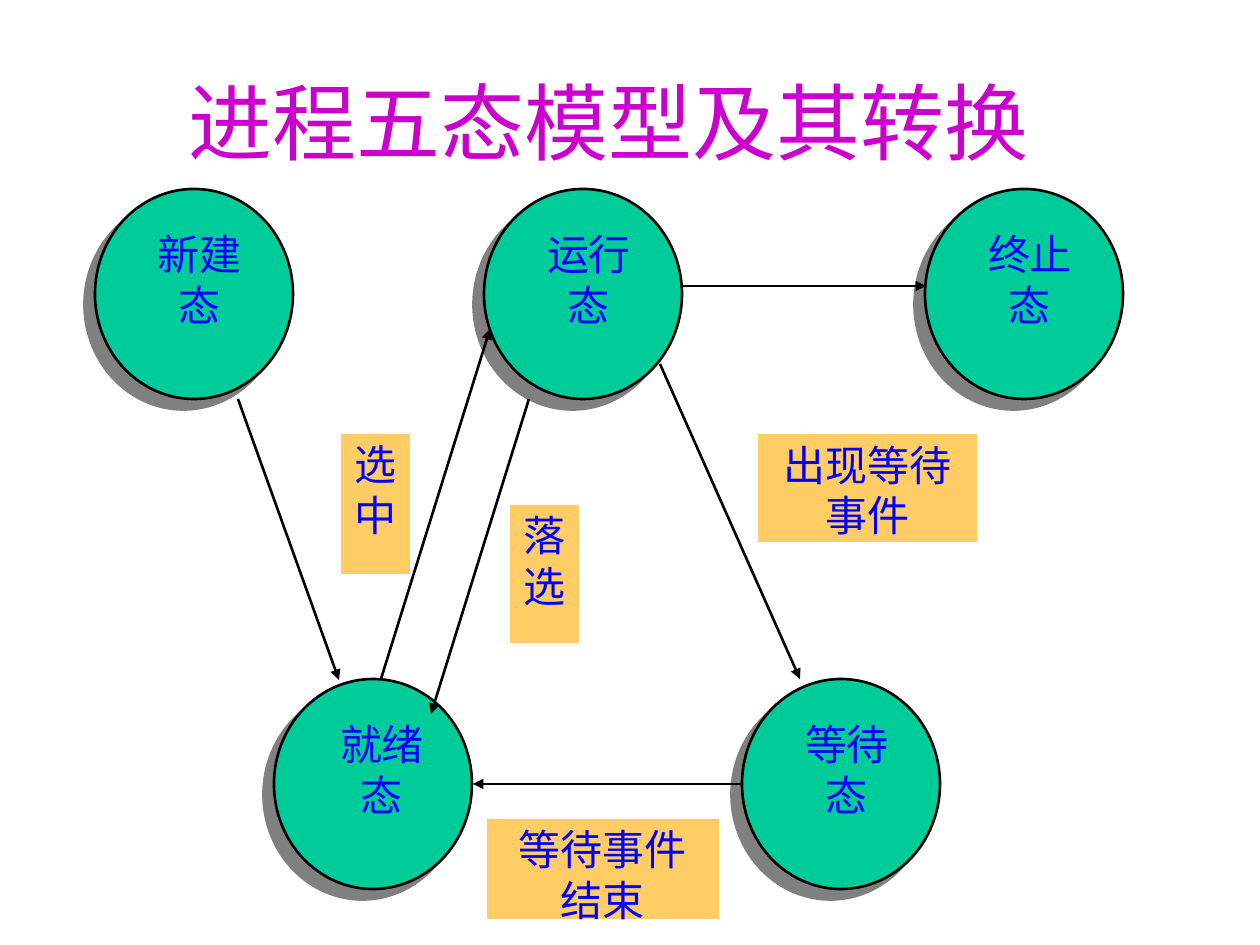
from lxml import etree
from pptx import Presentation
from pptx.dml.color import RGBColor
from pptx.enum.shapes import MSO_CONNECTOR, MSO_SHAPE
from pptx.enum.text import MSO_ANCHOR, PP_ALIGN
from pptx.oxml import parse_xml
from pptx.oxml.ns import nsdecls, qn
from pptx.util import Pt

SCALE = 914400 / 126
FONT = "Noto Sans CJK JP"
OVAL, RECTANGLE = MSO_SHAPE.OVAL, MSO_SHAPE.RECTANGLE
STRAIGHT = MSO_CONNECTOR.STRAIGHT
CENTER, TOP, MIDDLE = PP_ALIGN.CENTER, MSO_ANCHOR.TOP, MSO_ANCHOR.MIDDLE
BLACK, GREEN, ORANGE = "000000", "00CC99", "FFCC66"
BLUE, PURPLE, GRAY = "0000FF", "CC00CC", "808080"

color = RGBColor.from_string


def emu(*pixels):
    return [round(value * SCALE) for value in pixels]


def write(box, lines, size, ink, anchor, insets):
    frame = box.text_frame
    left, top, right, bottom = emu(*insets)
    settings = {
        "word_wrap": True,
        "vertical_anchor": anchor,
        "margin_left": left,
        "margin_top": top,
        "margin_right": right,
        "margin_bottom": bottom,
    }
    for name, value in settings.items():
        setattr(frame, name, value)
    for index, line in enumerate(lines):
        para = frame.add_paragraph() if index else frame.paragraphs[0]
        para.alignment = CENTER
        span = para.add_run()
        span.text = line
        span.font.size = Pt(size)
        span.font.color.rgb = color(ink)
        span.font.name = FONT
        etree.SubElement(span.font._element, qn("a:ea"), typeface=FONT)


deck = Presentation()
deck.slide_width, deck.slide_height = emu(1260, 945)
page = deck.slides.add_slide(deck.slide_layouts[6])

title = page.shapes.add_textbox(*emu(73, 42, 1071, 157))
write(title, ["进程五态模型及其转换"], 48, PURPLE, MIDDLE, (13, 6, 13, 6))

states = [
    ("运行态", 484, 189, 45),
    ("就绪态", 274, 679, 48),
    ("等待态", 742, 679, 45),
    ("新建态", 95, 189, 45),
    ("终止态", 925, 189, 45),
]
for name, left, top, indent in states:
    circle = page.shapes.add_shape(OVAL, *emu(left, top, 198, 210))
    circle.fill.solid()
    circle.fill.fore_color.rgb = color(GREEN)
    circle.line.color.rgb = color(BLACK)
    circle.line.width = Pt(1.5)
    circle._element.spPr.append(parse_xml(
        f'<a:effectLst {nsdecls("a")}>'
        '<a:outerShdw dist="107950" dir="8100000" algn="ctr" rotWithShape="0">'
        f'<a:srgbClr val="{GRAY}"/></a:outerShdw></a:effectLst>'
    ))

transitions = [
    (381, 679, 490, 329),
    (529, 399, 431, 714),
    (660, 364, 800, 679),
    (741, 784, 473, 784),
    (238, 399, 339, 680),
    (683, 286, 926, 286),
]
for ends in transitions:
    arrow = page.shapes.add_connector(STRAIGHT, *emu(*ends))
    arrow.line.color.rgb = color(BLACK)
    arrow.line.width = Pt(1.5)
    etree.SubElement(arrow.line._get_or_add_ln(), qn("a:tailEnd"), type="triangle")
    etree.SubElement(arrow._element.spPr, qn("a:effectLst"))

labels = [
    ([name], GREEN, (left + indent, top + 35, 120, 140))
    for name, left, top, indent in states
] + [
    (["选中"], ORANGE, (341, 434, 69, 140)),
    (["落选"], ORANGE, (510, 505, 69, 138)),
    (["出现等待", "事件"], ORANGE, (758, 434, 219, 108)),
    (["等待事件", "结束"], ORANGE, (487, 819, 232, 100)),
]
for lines, fill, bounds in labels:
    label = page.shapes.add_shape(RECTANGLE, *emu(*bounds))
    label.shadow.inherit = False
    label.fill.solid()
    label.fill.fore_color.rgb = color(fill)
    label.line.fill.background()
    write(label, lines, 24, BLUE, TOP, (0, 5, 0, 0))

deck.save("out.pptx")
